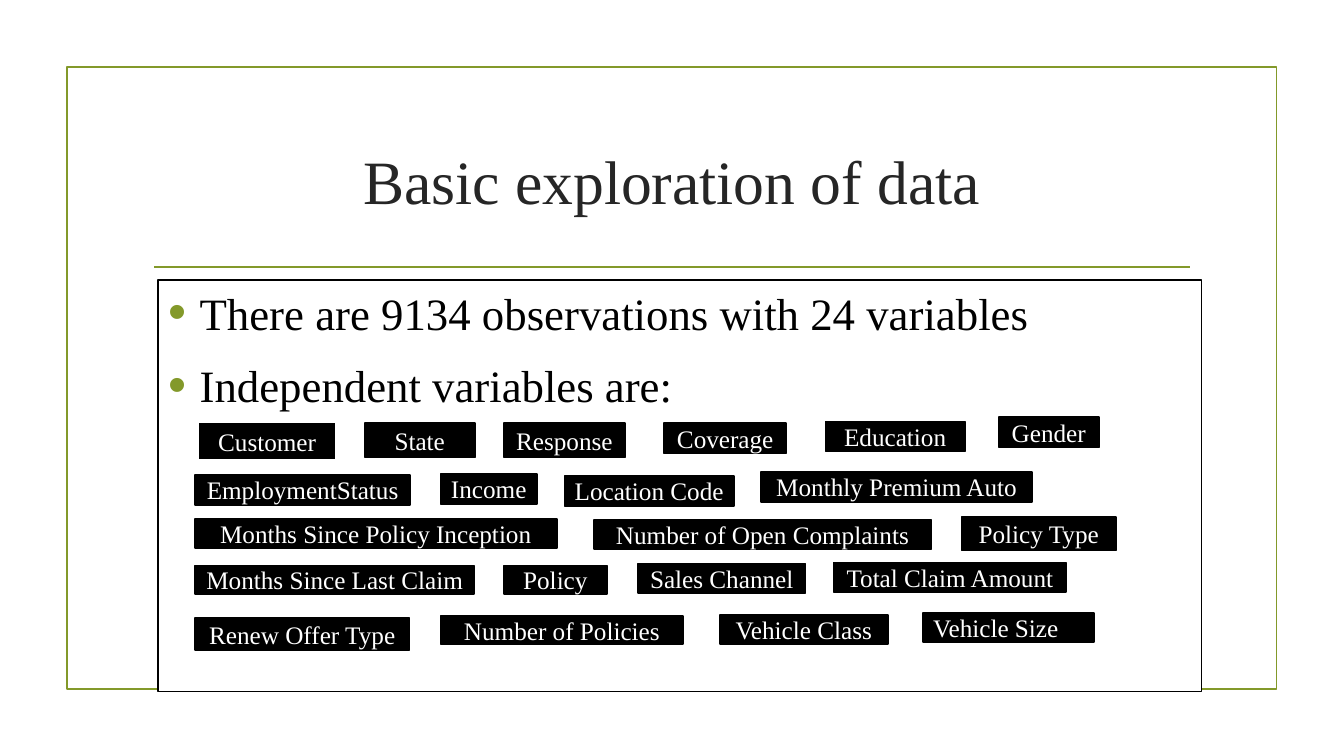
from lxml.etree import SubElement
from pptx import Presentation
from pptx.dml.color import RGBColor
from pptx.enum.shapes import MSO_CONNECTOR, MSO_SHAPE
from pptx.enum.text import MSO_ANCHOR, PP_ALIGN
from pptx.oxml.ns import qn
from pptx.util import Pt

GREEN = RGBColor(0x83, 0x99, 0x2A)
CHARCOAL = RGBColor(0x26, 0x26, 0x26)
BLACK = RGBColor(0, 0, 0)
WHITE = RGBColor(255, 255, 255)

STATEMENTS = ["There are 9134 observations with 24 variables", "Independent variables are:"]
VARIABLES = [
    ("State", 260.6, 302.4, 78.5, 24.5),
    ("Response", 360, 302.4, 86.4, 24.5),
    ("Coverage", 474.5, 302.4, 87.1, 21.6),
    ("Education", 589.7, 301, 99.4, 21.6),
    ("Gender", 713.5, 298.1, 71.3, 21.6),
    ("EmploymentStatus", 139.4, 339.1, 153.6, 21.6),
    ("Income", 314.6, 338.4, 69.1, 21.6),
    ("Location Code", 403.2, 339.8, 121, 21.6),
    ("Monthly Premium Auto", 543.6, 337, 193.7, 21.6),
    ("Months Since Policy Inception", 139.2, 370.8, 258.5, 20.9),
    ("Number of Open Complaints", 424.1, 371.5, 241.2, 20.9),
    ("Policy Type", 686.9, 369.4, 110.2, 23.8),
    ("Months Since Last Claim", 139.4, 403.9, 199.4, 20.2),
    ("Policy", 360, 403.9, 73.4, 20.2),
    ("Sales Channel", 455.8, 402.5, 119.5, 20.9),
    ("Total Claim Amount", 595.4, 401.8, 166.3, 20.9),
    ("Renew Offer Type", 139.2, 441.4, 153.4, 23),
    ("Number of Policies", 314.6, 439.9, 173.5, 20.2),
    ("Vehicle Class", 514.1, 439.2, 120.2, 20.9),
]


def apply(target, values):
    for name, value in values.items():
        setattr(target, name, value)


def write(para, text, size, colour, **layout):
    apply(para, layout)
    span = para.add_run()
    span.text = text
    apply(span.font, {"name": "Times New Roman", "size": Pt(size)})
    span.font.color.rgb = colour


def add_box(page, bounds, line, fill=None, width=1.25, kind=MSO_SHAPE.RECTANGLE):
    box = page.shapes.add_shape(kind, *map(Pt, bounds))
    box.shadow.inherit = False
    if fill is None:
        box.fill.background()
    else:
        box.fill.solid()
        box.fill.fore_color.rgb = fill
    box.line.color.rgb = line
    box.line.width = Pt(width)
    return box


def add_rule(page, left, right, top):
    rule = page.shapes.add_connector(MSO_CONNECTOR.STRAIGHT, Pt(left), Pt(top), Pt(right), Pt(top))
    rule.line.color.rgb = GREEN
    rule.line.width = Pt(1.25)
    SubElement(rule._element.spPr, qn("a:effectLst"))


def add_title(page, text):
    box = page.shapes.add_textbox(*map(Pt, (102.2, 77, 756, 103)))
    apply(box.text_frame, {"word_wrap": True, "vertical_anchor": MSO_ANCHOR.MIDDLE})
    write(box.text_frame.paragraphs[0], text, 44, CHARCOAL, alignment=PP_ALIGN.CENTER)


def add_bullet(para):
    props = para._p.get_or_add_pPr()
    apply_indent = {"marL": Pt(22.5), "indent": Pt(-22.5)}
    for name, value in apply_indent.items():
        props.set(name, str(int(value)))
    colour = SubElement(props, qn("a:buClr"))
    SubElement(colour, qn("a:srgbClr"), val=str(GREEN))
    SubElement(props, qn("a:buSzPct"), val="115000")
    SubElement(props, qn("a:buFont"), typeface="Arial")
    SubElement(props, qn("a:buChar"), char="•")


def add_statements(page, statements):
    frame = add_box(page, (113, 200.2, 745.2, 293.8), BLACK, WHITE).text_frame
    apply(frame, {"word_wrap": True, "vertical_anchor": MSO_ANCHOR.TOP})
    for index, text in enumerate(statements):
        para = frame.add_paragraph() if index else frame.paragraphs[0]
        write(para, text, 32, BLACK, alignment=PP_ALIGN.LEFT,
              space_before=Pt(7.4), space_after=Pt(6))
        add_bullet(para)


def add_variable(page, text, *bounds, line=BLACK, width=1.25,
                 kind=MSO_SHAPE.FLOWCHART_PROCESS, alignment=PP_ALIGN.CENTER):
    frame = add_box(page, bounds, line, BLACK, width, kind).text_frame
    apply(frame, {"word_wrap": True, "vertical_anchor": MSO_ANCHOR.MIDDLE})
    write(frame.paragraphs[0], text, 18, WHITE, alignment=alignment)


def main():
    deck = Presentation()
    apply(deck, {"slide_width": Pt(960), "slide_height": Pt(540)})
    page = deck.slides.add_slide(deck.slide_layouts[6])
    add_box(page, (47.8, 48, 864, 444.2), GREEN)
    add_rule(page, 110.2, 850.3, 190.8)
    add_title(page, "Basic exploration of data")
    add_statements(page, STATEMENTS)
    add_variable(page, "Customer", 141.1, 301, 99.4, 28.1,
                 line=WHITE, width=2, kind=MSO_SHAPE.RECTANGLE)
    for variable in VARIABLES:
        add_variable(page, *variable)
    add_variable(page, "Vehicle Size", 659.5, 437.8, 121.7, 20.9, alignment=PP_ALIGN.LEFT)
    deck.save("out.pptx")


if __name__ == "__main__":
    main()
